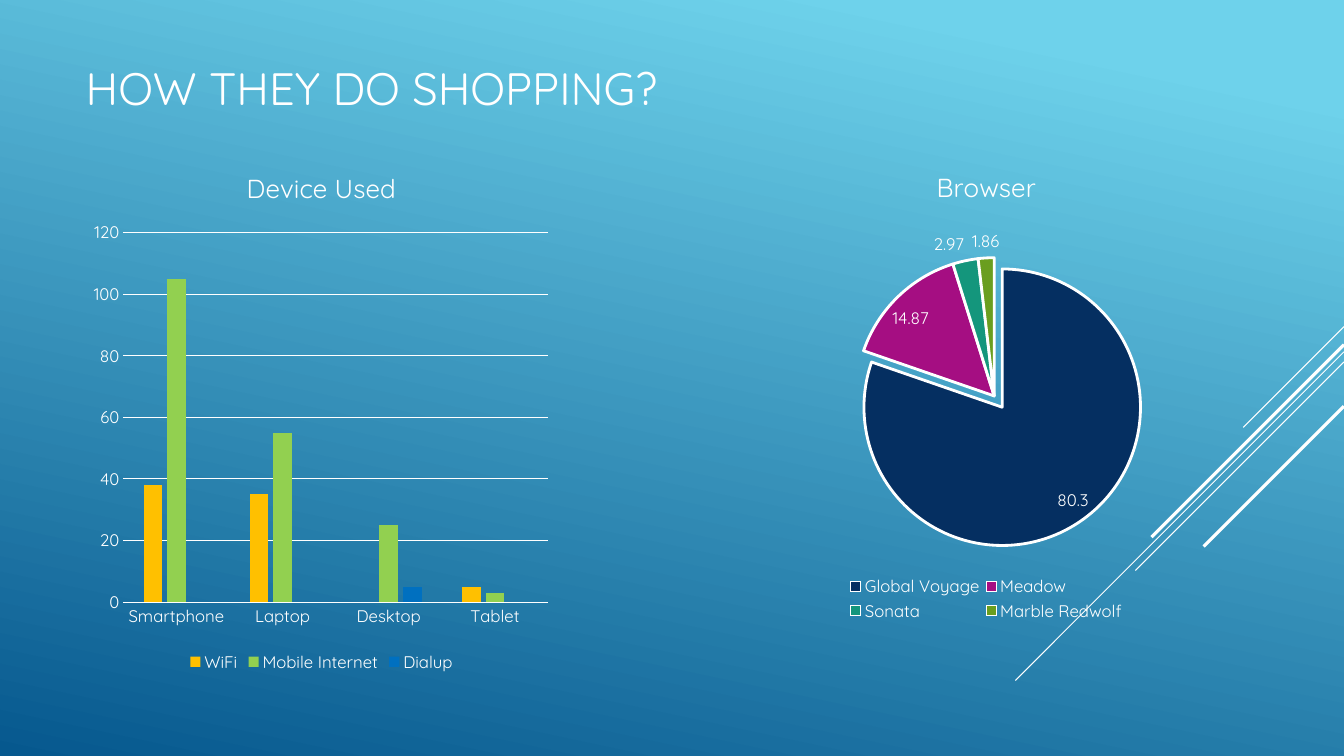
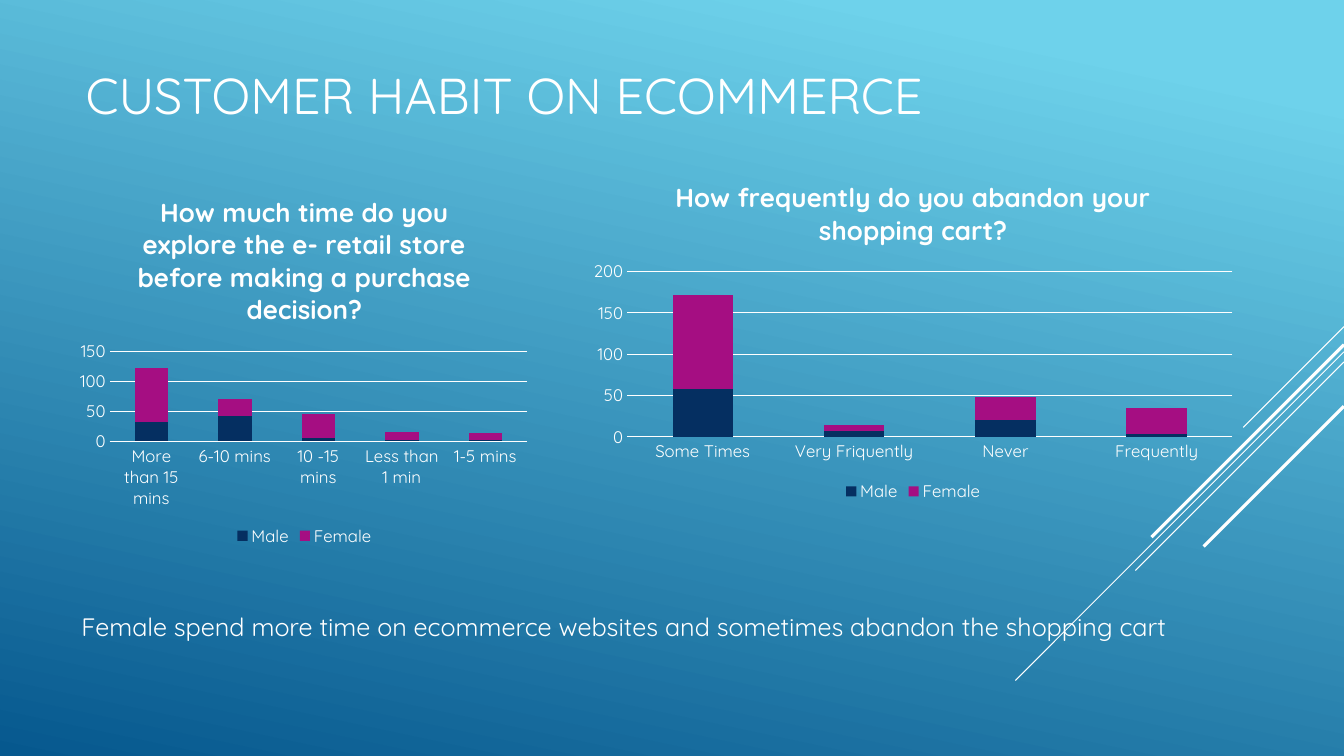
"""Build two slides of shopping survey charts on a blue gradient."""
from dataclasses import dataclass
from typing import NamedTuple, Optional

import pptx
import pptx.chart.chart
import pptx.chart.data
import pptx.dml.color
import pptx.dml.line
import pptx.enum.chart
import pptx.enum.shapes
import pptx.enum.text
import pptx.oxml
import pptx.oxml.ns
import pptx.presentation
import pptx.shapes.connector
import pptx.slide
import pptx.text.text
import pptx.util

Pt = pptx.util.Pt
RGBColor = pptx.dml.color.RGBColor
ChartType = pptx.enum.chart.XL_CHART_TYPE

FONT = "Quicksand"
WHITE = RGBColor(0xFF, 0xFF, 0xFF)
SKY = RGBColor(0x6E, 0xD2, 0xEB)
OCEAN = RGBColor(0x06, 0x58, 0x8E)
NAVY = RGBColor(0x05, 0x2F, 0x61)
MAGENTA = RGBColor(0xA5, 0x0E, 0x82)
TEAL = RGBColor(0x14, 0x96, 0x7C)
OLIVE = RGBColor(0x6A, 0x9E, 0x1F)
AMBER = RGBColor(0xFF, 0xC0, 0x00)
LIME = RGBColor(0x92, 0xD0, 0x50)
BLUE = RGBColor(0x00, 0x70, 0xC0)

PAGE_WIDTH = 960
PAGE_HEIGHT = 540


class Frame(NamedTuple):
    """A rectangle, in points or as fractions of a chart."""

    left: float
    top: float
    width: float
    height: float


class Ray(NamedTuple):
    """A 45 degree line running down and left from the right edge."""

    top: float
    run: float
    weight: float


class Series(NamedTuple):
    """A named row of chart values with its colour."""

    name: str
    values: tuple[Optional[float], ...]
    color: RGBColor


@dataclass(frozen=True)
class ChartPanel:
    """What every chart on the slides has."""

    title: str
    frame: Frame
    plot: Frame
    categories: tuple[str, ...]


@dataclass(frozen=True)
class ColumnPanel(ChartPanel):
    """A column chart and its value scale."""

    series: tuple[Series, ...]
    top_value: float
    step: float
    stacked: bool = True


@dataclass(frozen=True)
class PiePanel(ChartPanel):
    """A pie chart with its first slice pulled out."""

    values: tuple[float, ...]
    colors: tuple[RGBColor, ...]
    legend: Frame
    explosion: int = 10


def by_gender(male: tuple[float, ...], female: tuple[float, ...]) -> tuple[Series, ...]:
    """Make the series of a stacked chart, the last one empty."""
    empty = (None,) * len(male)
    return Series("Male", male, NAVY), Series("Female", female, MAGENTA), Series("Series 3", empty, TEAL)


RAYS = (
    Ray(233.3, 72, 0.75), Ray(251.3, 234.7, 0.75), Ray(258.5, 149, 0.75),
    Ray(246.2, 137.5, 2.25), Ray(290.2, 100.2, 2.25),
)

DEVICES = ColumnPanel(
    title="Device Used",
    frame=Frame(61.2, 105.8, 337, 377.3), plot=Frame(0.08, 0.16, 0.9, 0.7),
    categories=("Smartphone", "Laptop", "Desktop", "Tablet"),
    series=(
        Series("WiFi", (38, 35, None, 5), AMBER),
        Series("Mobile Internet", (105, 55, 25, 3), LIME),
        Series("Dialup", (None, None, 5, None), BLUE),
    ),
    top_value=120, step=20, stacked=False,
)

BROWSERS = PiePanel(
    title="Browser",
    frame=Frame(517, 105.8, 375.1, 340.6), plot=Frame(0.25, 0.23, 0.53, 0.58),
    categories=("Global Voyage", "Meadow", "Sonata", "Marble Redwolf"),
    values=(80.3, 14.87, 2.97, 1.86),
    colors=(NAVY, MAGENTA, TEAL, OLIVE),
    legend=Frame(0.23, 0.89, 0.54, 0.11),
)

EXPLORING = ColumnPanel(
    title="How much time do you explore the e- retail store before making a purchase decision?",
    frame=Frame(51.8, 125.3, 331.4, 267.8), plot=Frame(0.08, 0.47, 0.9, 0.24),
    categories=("More than 15 mins", "6-10 mins", "10 -15 mins", "Less than 1 min", "1-5 mins"),
    series=by_gender((32, 43, 5, 3, 3), (91, 28, 41, 12, 11)),
    top_value=150, step=50,
)

ABANDONING = ColumnPanel(
    title="How frequently do you abandon your shopping cart?",
    frame=Frame(414.7, 115.2, 475.2, 246.2), plot=Frame(0.07, 0.32, 0.91, 0.48),
    categories=("Some Times", "Very Friquently", "Never", "Frequently"),
    series=by_gender((58, 7, 20, 3), (113, 7, 28, 32)),
    top_value=200, step=50,
)


def points(frame: Frame) -> list[pptx.util.Length]:
    """Turn a frame into lengths."""
    return [Pt(value) for value in frame]


def chart_element(tag: str, value: object) -> pptx.oxml.xmlchemy.BaseOxmlElement:
    """Make a chart element that holds one value."""
    namespace = pptx.oxml.ns.nsdecls("c")
    return pptx.oxml.parse_xml(f'<c:{tag} {namespace} val="{value}"/>')


def set_line(line: pptx.dml.line.LineFormat, weight: float) -> None:
    """Make a line white."""
    line.color.rgb = WHITE
    line.width = Pt(weight)


def add_span(para: pptx.text.text._Paragraph, text: str, size: float, bold: bool = False) -> None:
    """Add a white run."""
    span = para.add_run()
    span.text = text
    span.font.name = FONT
    span.font.size = Pt(size)
    span.font.bold = bold
    span.font.color.rgb = WHITE


def add_title(page: pptx.slide.Slide, text: str, size: float, frame: Frame) -> None:
    """Fill and place the title placeholder."""
    title = page.shapes.title
    title.left, title.top, title.width, title.height = points(frame)
    title.text_frame.vertical_anchor = pptx.enum.text.MSO_ANCHOR.MIDDLE
    title.text_frame.auto_size = pptx.enum.text.MSO_AUTO_SIZE.NONE
    para = title.text_frame.paragraphs[0]
    para.alignment = pptx.enum.text.PP_ALIGN.LEFT
    add_span(para, text, size)


def add_caption(page: pptx.slide.Slide, text: str, frame: Frame) -> None:
    """Add a line of text under the charts."""
    box = page.shapes.add_textbox(*points(frame))
    box.text_frame.word_wrap = True
    add_span(box.text_frame.paragraphs[0], text, 18)


def draw_ray(page: pptx.slide.Slide, ray: Ray) -> pptx.shapes.connector.Connector:
    """Draw one diagonal line."""
    ends = (PAGE_WIDTH, ray.top, PAGE_WIDTH - ray.run, ray.top + ray.run)
    straight = pptx.enum.shapes.MSO_CONNECTOR.STRAIGHT
    connector = page.shapes.add_connector(straight, *[Pt(value) for value in ends])
    set_line(connector.line, ray.weight)
    effects = pptx.oxml.parse_xml(f'<a:effectLst {pptx.oxml.ns.nsdecls("a")}/>')
    connector.element.spPr.append(effects)
    return connector


def style_master(deck: pptx.presentation.Presentation, page: pptx.slide.Slide) -> None:
    """Give the master its gradient and diagonal lines."""
    master = deck.slide_master
    fill = master.background.fill
    fill.gradient()
    fill.gradient_angle = 360 - 102
    for stop, color, position in zip(fill.gradient_stops, (SKY, OCEAN), (0.1, 1)):
        stop.color.rgb = color
        stop.position = position
    for ray in RAYS:
        master.shapes.element.append(draw_ray(page, ray).element)


def set_layout(chart: pptx.chart.chart.Chart, part: str, frame: Frame) -> None:
    """Fix the place of the plot area or the legend."""
    parent = chart.element.xpath(f"c:chart/c:{part}")[0]
    for former in parent.xpath("c:layout"):
        parent.remove(former)
    namespace = pptx.oxml.ns.nsdecls("c")
    layout = pptx.oxml.parse_xml(f"<c:layout {namespace}><c:manualLayout/></c:layout>")
    manual = layout[0]
    if part == "plotArea":
        manual.append(chart_element("layoutTarget", "inner"))
    for axis in "xy":
        manual.append(chart_element(f"{axis}Mode", "edge"))
    for tag, value in zip("xywh", frame):
        manual.append(chart_element(tag, value))
    parent.insert(0 if part == "plotArea" else 1, layout)


def hide_legend_entry(chart: pptx.chart.chart.Chart, index: int) -> None:
    """Leave one series out of the legend."""
    entry = pptx.oxml.parse_xml(f'<c:legendEntry {pptx.oxml.ns.nsdecls("c")}/>')
    entry.append(chart_element("idx", index))
    entry.append(chart_element("delete", 1))
    chart.element.xpath("c:chart/c:legend/c:legendPos")[0].addnext(entry)


def add_chart(
    page: pptx.slide.Slide, panel: ChartPanel, kind: ChartType,
    rows: list[tuple[str, tuple[Optional[float], ...]]], bold: bool = False,
) -> pptx.chart.chart.Chart:
    """Add a chart with the shared title, legend and font."""
    data = pptx.chart.data.CategoryChartData()
    data.categories = panel.categories
    for name, values in rows:
        data.add_series(name, values)
    chart = page.shapes.add_chart(kind, *points(panel.frame), data).chart
    style_font(chart.font)
    chart.has_title = True
    add_span(chart.chart_title.text_frame.paragraphs[0], panel.title, 18.6, bold)
    chart.has_legend = True
    chart.legend.position = pptx.enum.chart.XL_LEGEND_POSITION.BOTTOM
    chart.legend.include_in_layout = False
    set_layout(chart, "plotArea", panel.plot)
    return chart


def style_font(font: pptx.text.text.Font) -> None:
    """Set the small white font of chart text."""
    font.name, font.size, font.color.rgb = FONT, Pt(12), WHITE


def add_columns(page: pptx.slide.Slide, panel: ColumnPanel) -> None:
    """Add a clustered or stacked column chart."""
    kind = ChartType.COLUMN_STACKED if panel.stacked else ChartType.COLUMN_CLUSTERED
    rows = [(series.name, series.values) for series in panel.series]
    chart = add_chart(page, panel, kind, rows, bold=panel.stacked)
    plot = chart.plots[0]
    plot.vary_by_categories = False
    plot.gap_width, plot.overlap = (150, 100) if panel.stacked else (219, -27)
    for index, (drawn, series) in enumerate(zip(plot.series, panel.series)):
        drawn.format.fill.solid()
        drawn.format.fill.fore_color.rgb = series.color
        if not any(series.values):
            hide_legend_entry(chart, index)
    scale = chart.value_axis
    scale.minimum_scale, scale.maximum_scale, scale.major_unit = 0, panel.top_value, panel.step
    set_line(scale.major_gridlines.format.line, 0.75)
    scale.format.line.fill.background()
    set_line(chart.category_axis.format.line, 0.75)
    for axis in (scale, chart.category_axis):
        axis.major_tick_mark = pptx.enum.chart.XL_TICK_MARK.NONE


def add_pie(page: pptx.slide.Slide, panel: PiePanel) -> None:
    """Add a pie chart with value labels."""
    chart = add_chart(page, panel, ChartType.PIE, [(panel.title, panel.values)])
    set_layout(chart, "legend", panel.legend)
    series = chart.plots[0].series[0]
    for index, color in enumerate(panel.colors):
        slice_format = series.points[index].format
        slice_format.fill.solid()
        slice_format.fill.fore_color.rgb = color
        set_line(slice_format.line, 2)
    first_slice = chart.element.xpath(".//c:dPt/c:spPr")[0]
    first_slice.addprevious(chart_element("explosion", panel.explosion))
    labels = series.data_labels
    labels.show_value = True
    labels.position = pptx.enum.chart.XL_LABEL_POSITION.BEST_FIT
    style_font(labels.font)


deck = pptx.Presentation()
deck.slide_width, deck.slide_height = Pt(PAGE_WIDTH), Pt(PAGE_HEIGHT)
shopping, habit = [deck.slides.add_slide(deck.slide_layouts[5]) for _ in range(2)]
style_master(deck, shopping)
add_title(shopping, "HOW THEY DO SHOPPING?", 32.4, Frame(54, 37.4, 671.8, 50.4))
add_columns(shopping, DEVICES)
add_pie(shopping, BROWSERS)
add_title(habit, "CUSTOMER HABIT ON ECOMMERCE", 36, Frame(54, 33.1, 671.8, 68.4))
add_columns(habit, EXPLORING)
add_columns(habit, ABANDONING)
CAPTION = "Female spend more time on ecommerce websites and sometimes abandon the shopping cart"
add_caption(habit, CAPTION, Frame(51.1, 433.4, 855.4, 28.8))
deck.save("out.pptx")
